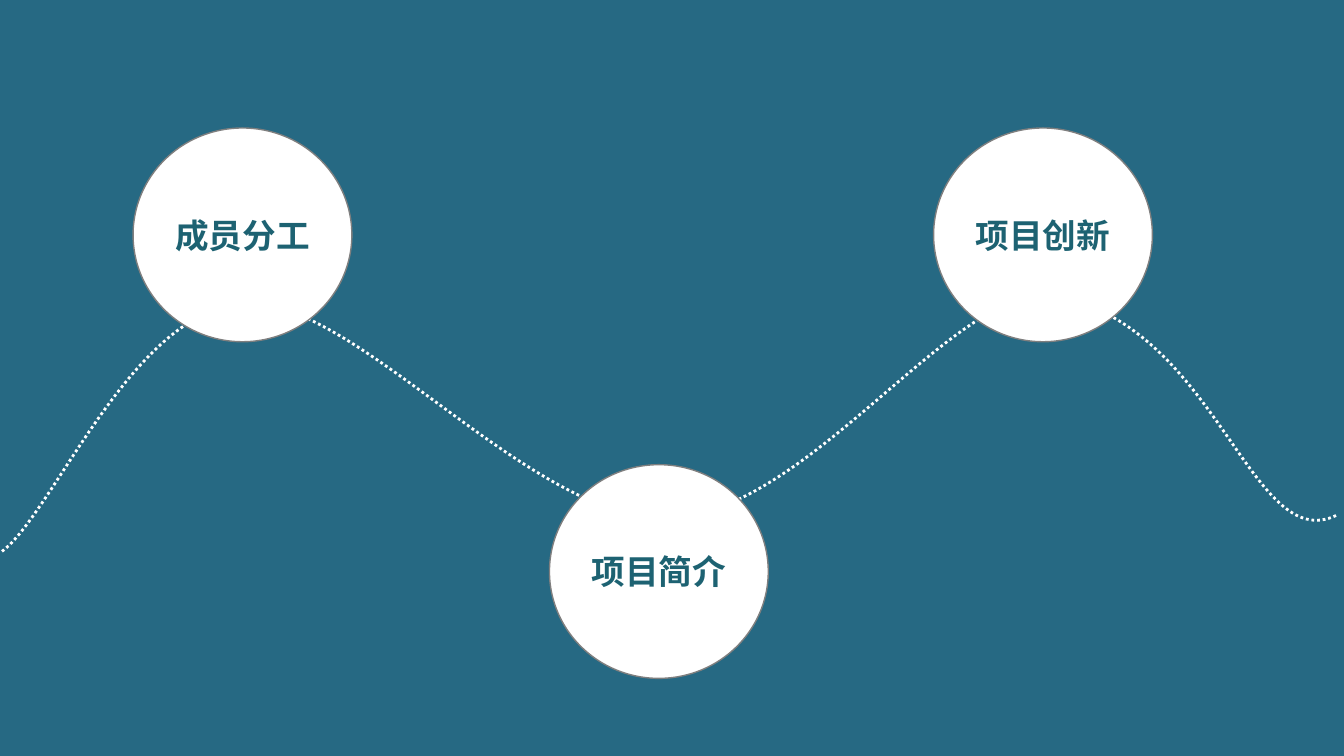
"""Build a slide with three topic circles strung along a dotted wave."""
from lxml.etree import SubElement
from pptx import Presentation
from pptx.dml.color import RGBColor
from pptx.enum.dml import MSO_LINE
from pptx.enum.shapes import MSO_SHAPE
from pptx.enum.text import MSO_ANCHOR, PP_ALIGN
from pptx.oxml.ns import qn
from pptx.util import Inches, Pt

COLORS = {"backdrop": "266983", "white": "FFFFFF", "outline": "7F7F7F", "label": "1D6272"}
COLORS = {part: RGBColor.from_string(code) for part, code in COLORS.items()}
FONT = "Noto Sans CJK SC"
LABEL_FORMAT = {"name": FONT, "size": Pt(24), "bold": True}

WAVE_START = (0.02, 5.47)
WAVE_CONTROLS = [
    (0.53, 5.09), (1.32, 3.06), (2.43, 3.01),
    (3.53, 2.95), (5.29, 5.20), (6.64, 5.14),
    (8.00, 5.08), (9.38, 2.94), (10.37, 2.92),
    (12.07, 3.15), (12.39, 5.54), (13.26, 5.11),
]
TOPICS = [("成员分工", 1.32, 1.27), ("项目简介", 5.45, 4.61), ("项目创新", 9.26, 1.27)]

prs = Presentation()
prs.slide_width, prs.slide_height = Inches(13.33), Inches(7.5)
slide = prs.slides.add_slide(prs.slide_layouts[6])
slide.background.fill.solid()
slide.background.fill.fore_color.rgb = COLORS["backdrop"]

builder = slide.shapes.build_freeform(*map(Inches, WAVE_START))
builder.add_line_segments([(Inches(x), Inches(y)) for x, y in WAVE_CONTROLS], close=False)
wave = builder.convert_to_shape()
wave.shadow.inherit = False
wave.fill.background()
wave.line.color.rgb = COLORS["white"]
wave.line.width = Pt(2)
wave.line.dash_style = MSO_LINE.ROUND_DOT

# Every three control points form one Bezier segment.
for index, segment in enumerate(wave.element.xpath(".//a:lnTo")):
    outline = segment.getparent()
    if index % 3 == 0:
        curve = SubElement(outline, qn("a:cubicBezTo"))
    curve.append(segment[0])
    outline.remove(segment)

for topic, left, top in TOPICS:
    circle = slide.shapes.add_shape(
        MSO_SHAPE.OVAL, Inches(left), Inches(top), Inches(2.17), Inches(2.12))
    circle.shadow.inherit = False
    circle.fill.solid()
    circle.fill.fore_color.rgb = COLORS["white"]
    circle.line.color.rgb = COLORS["outline"]
    circle.line.width = Pt(1)
    circle.text_frame.vertical_anchor = MSO_ANCHOR.MIDDLE
    paragraph = circle.text_frame.paragraphs[0]
    paragraph.alignment = PP_ALIGN.CENTER
    label = paragraph.add_run()
    label.text = topic
    for attribute, value in LABEL_FORMAT.items():
        setattr(label.font, attribute, value)
    label.font.color.rgb = COLORS["label"]
    SubElement(label.font._element, qn("a:ea"), typeface=FONT)

prs.save("out.pptx")
